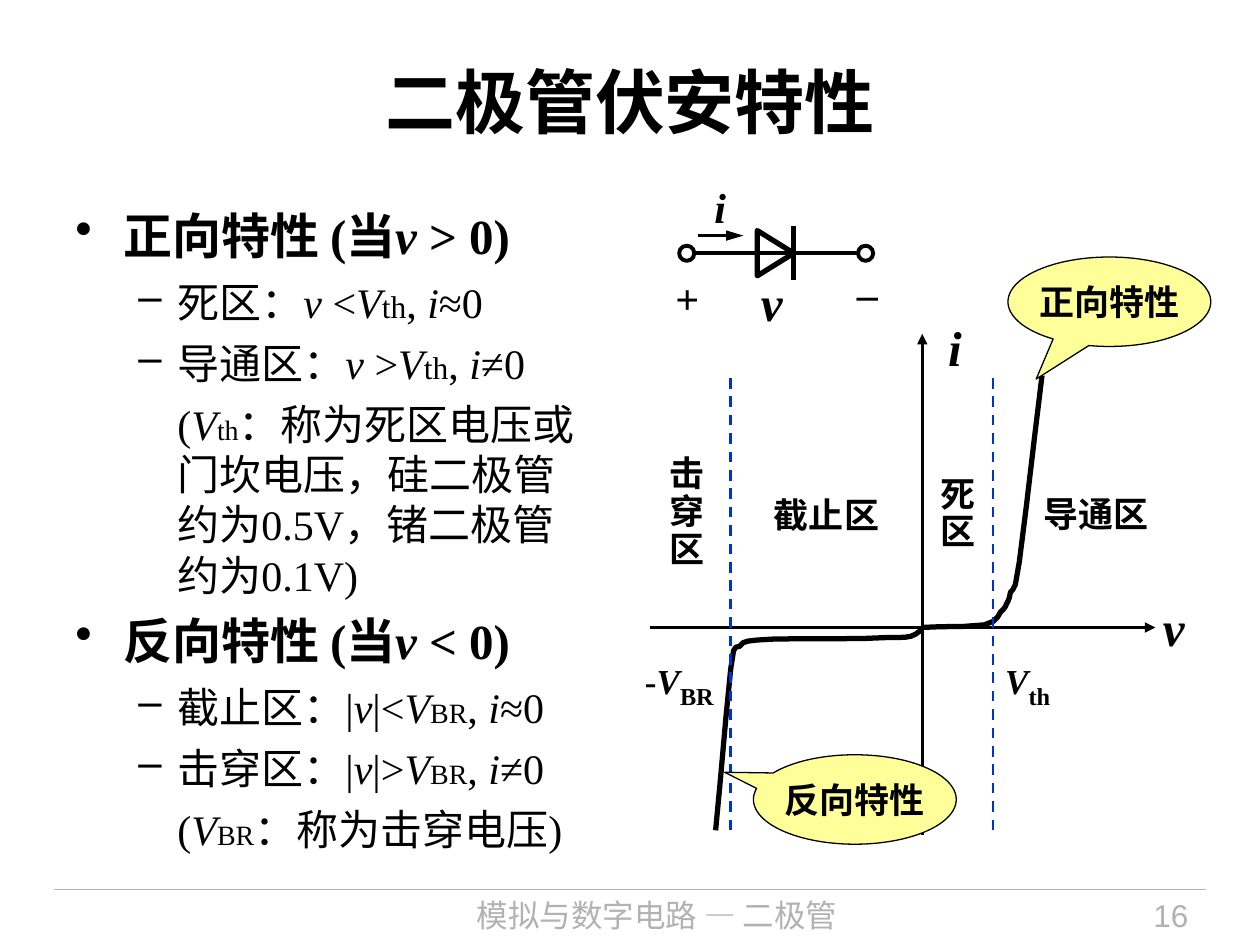
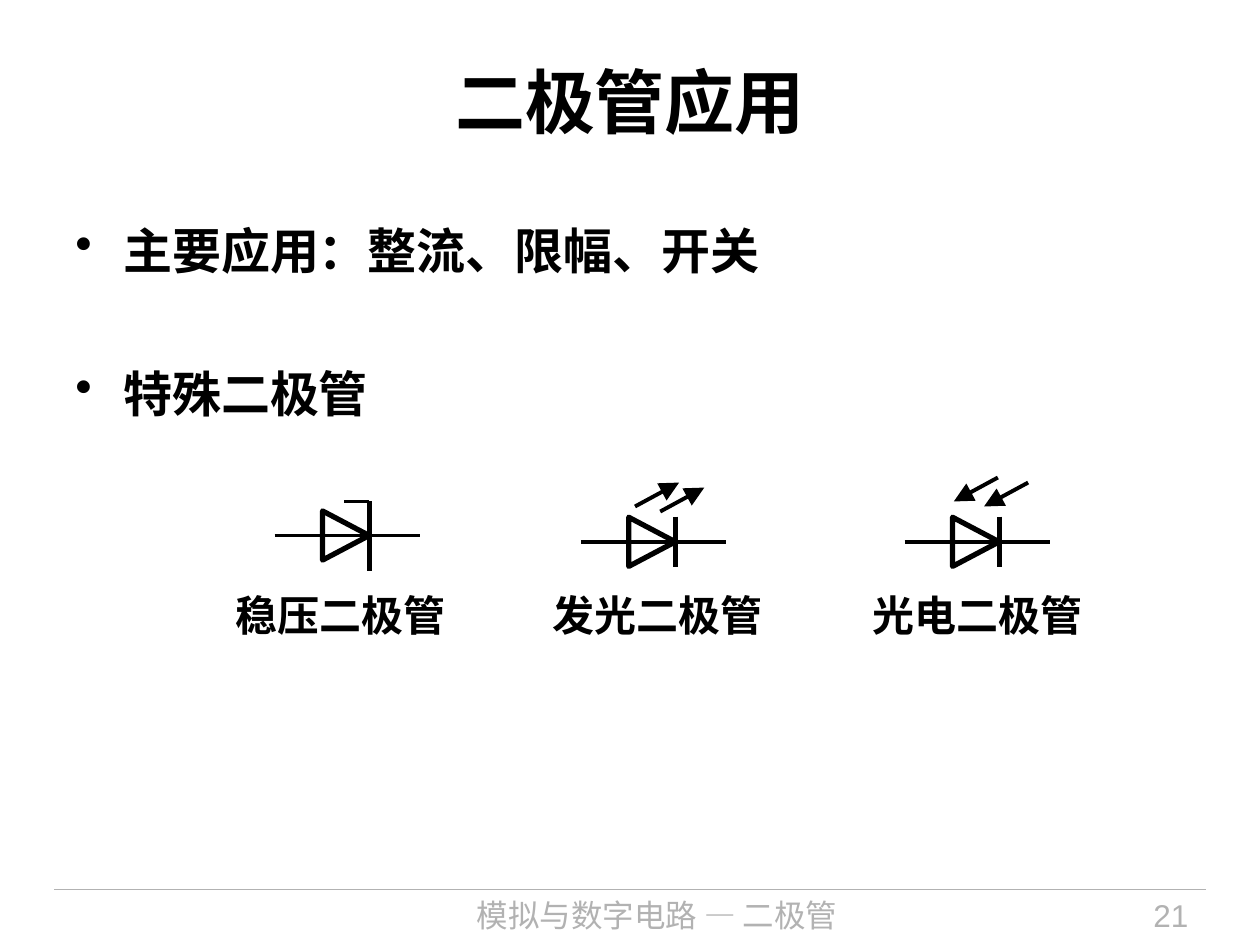
from lxml.etree import SubElement
from pptx import Presentation
from pptx.dml.color import RGBColor
from pptx.enum.dml import MSO_LINE
from pptx.enum.shapes import MSO_CONNECTOR, MSO_SHAPE
from pptx.enum.text import MSO_ANCHOR, MSO_AUTO_SIZE, PP_ALIGN
from pptx.oxml.ns import qn
from pptx.util import Inches, Pt

BLACK, GREY, BLUE, YELLOW = "000000", "B2B2B2", "0033CC", "FFFF99"
SERIF, SANS, CJK = "Times New Roman", "Arial", "Noto Sans CJK SC"
LEFT, CENTER, RIGHT = PP_ALIGN.LEFT, PP_ALIGN.CENTER, PP_ALIGN.RIGHT
LEADING = 1.2


def rgb(color):
    return RGBColor.from_string(color)


# Text
def add_runs(p, markup, size, font=SERIF, color=BLACK, bold=True, italic=False,
             sub_size=16, sub_shift=0):
    """Write text where *x* is italic and ~x~ is an index."""
    for i, part in enumerate(markup.split("*")):
        for j, text in enumerate(part.split("~")):
            if not text:
                continue
            r = p.add_run()
            r.text = text
            r.font.size = Pt(sub_size if j % 2 else size)
            r.font.bold = bold
            r.font.italic = italic or i % 2 == 1
            r.font.color.rgb = rgb(color)
            r.font.name = font
            rPr = r.font._element
            SubElement(rPr, qn("a:ea")).set("typeface", CJK)
            if j % 2 and sub_shift:
                rPr.set("baseline", str(sub_shift * 1000))


def add_label(s, x, y, w, h, text, size, align=CENTER, anchor=MSO_ANCHOR.MIDDLE,
              wrap=False, margin=True, leading=LEADING, **style):
    tb = s.shapes.add_textbox(Inches(x), Inches(y), Inches(w), Inches(h))
    tf = tb.text_frame
    tf.word_wrap = wrap
    tf.vertical_anchor = anchor
    if not margin:
        tf.margin_left = tf.margin_right = tf.margin_top = tf.margin_bottom = 0
    p = tf.paragraphs[0]
    p.alignment = align
    p.line_spacing = Pt(round(size * leading, 1))
    add_runs(p, text, size, **style)


def add_body(s, x, y, w, h, items):
    """Items are (level, bullet, text, space after, index size)."""
    tb = s.shapes.add_textbox(Inches(x), Inches(y), Inches(w), Inches(h))
    tf = tb.text_frame
    tf.word_wrap = True
    for i, (level, bullet, text, after, sub_size) in enumerate(items):
        p = tf.add_paragraph() if i else tf.paragraphs[0]
        margin, hang, size = [(0.38, 0.38, 28), (0.81, 0.31, 24)][level]
        pPr = p._p.get_or_add_pPr()
        pPr.set("marL", str(Inches(margin)))
        pPr.set("indent", str(-Inches(hang) if bullet else 0))
        if bullet:
            SubElement(pPr, qn("a:buChar")).set("char", bullet)
        p.level = level
        p.line_spacing = Pt(round(size * LEADING, 1))
        p.space_after = Pt(after)
        add_runs(p, text, size, bold=level == 0, sub_size=sub_size)


# Lines and shapes
def add_line(s, x1, y1, x2, y2, width, color=BLACK, arrow=None, dash=False):
    """An arrow is given as its head's (width, length)."""
    c = s.shapes.add_connector(MSO_CONNECTOR.STRAIGHT, Inches(x1), Inches(y1),
                               Inches(x2), Inches(y2))
    c.line.width = Pt(width)
    c.line.color.rgb = rgb(color)
    if dash:
        c.line.dash_style = MSO_LINE.DASH
    if arrow:
        head = SubElement(c.line._get_or_add_ln(), qn("a:tailEnd"))
        head.set("type", "triangle")
        head.set("w", arrow[0])
        head.set("len", arrow[1])
    SubElement(c._element.spPr, qn("a:effectLst"))


def style_shape(sp, width, fill=None):
    sp.shadow.inherit = False
    sp.line.width = Pt(width)
    sp.line.color.rgb = rgb(BLACK)
    if fill:
        sp.fill.solid()
        sp.fill.fore_color.rgb = rgb(fill)
    else:
        sp.fill.background()


def add_preset(s, kind, x, y, w, h, width, fill=None):
    sp = s.shapes.add_shape(kind, Inches(x), Inches(y), Inches(w), Inches(h))
    style_shape(sp, width, fill)
    return sp


def add_callout(s, x, y, text, pointer):
    sp = add_preset(s, MSO_SHAPE.OVAL_CALLOUT, x, y, 1.61, 0.71, 0.75, YELLOW)
    sp.adjustments[0], sp.adjustments[1] = pointer
    tf = sp.text_frame
    tf.word_wrap = False
    tf.vertical_anchor = MSO_ANCHOR.MIDDLE
    tf.margin_left = tf.margin_right = tf.margin_top = tf.margin_bottom = 0
    p = tf.paragraphs[0]
    p.alignment = CENTER
    p.line_spacing = Pt(20 * LEADING)
    add_runs(p, text, 20, SANS)


def bezier(p0, p1, p2, p3, steps=3):
    for k in range(1, steps + 1):
        t = k / steps
        u = 1 - t
        yield tuple(Inches(u**3 * a + 3 * u * u * t * b + 3 * u * t * t * c + t**3 * d)
                    for a, b, c, d in zip(p0, p1, p2, p3))


def add_curve(s, start, segments):
    points, last = [], start
    for c1, c2, end in segments:
        points += bezier(last, c1, c2, end)
        last = end
    fb = s.shapes.build_freeform(Inches(start[0]), Inches(start[1]))
    fb.add_line_segments(points, close=False)
    style_shape(fb.convert_to_shape(), 3)


def add_diode(s, bar_x, y, w=0.37, h=0.39, before=0.75, after=0.4,
              above=0.2, below=0.2):
    tri = add_preset(s, MSO_SHAPE.ISOSCELES_TRIANGLE, bar_x - w / 2 - h / 2,
                     y - w / 2, h, w, 3)
    tri.rotation = 90
    add_line(s, bar_x - before, y, bar_x + after, y, 2.25)
    add_line(s, bar_x, y - above, bar_x, y + below, 3)


# Shared frame: title and footer
def add_slide(prs, title, number):
    s = prs.slides.add_slide(prs.slide_layouts[5])
    sp = s.shapes.title
    sp.left, sp.top, sp.width, sp.height = map(Inches, (0.5, 0.17, 9, 1.25))
    tf = sp.text_frame
    tf.auto_size = MSO_AUTO_SIZE.NONE
    tf.vertical_anchor = MSO_ANCHOR.MIDDLE
    tf.paragraphs[0].alignment = CENTER
    add_runs(tf.paragraphs[0], title, 40)
    add_line(s, 0.43, 7.06, 9.57, 7.06, 0.75, GREY)
    footer = dict(size=18, anchor=MSO_ANCHOR.TOP, wrap=True, color=GREY, bold=False)
    add_label(s, 2.4, 7.06, 5.63, 0.44, "模拟与数字电路 — 二极管", font=CJK, **footer)
    add_label(s, 8.2, 7.06, 1.33, 0.44, number, align=RIGHT, font=SANS, **footer)
    return s


def add_vi_chart(s):
    # Forward and reverse branches
    add_curve(s, (7.32, 4.98), [
        ((7.4, 4.97), (7.7, 4.98), (7.81, 4.96)),
        ((7.91, 4.94), (7.92, 4.89), (7.94, 4.86)),
        ((7.97, 4.83), (7.98, 4.82), (7.99, 4.79)),
        ((8, 4.77), (8.01, 4.76), (8.02, 4.7)),
        ((8.04, 4.65), (8.05, 4.75), (8.09, 4.46)),
        ((8.13, 4.18), (8.23, 3.29), (8.27, 2.98))])
    add_curve(s, (7.32, 4.99), [
        ((7.31, 5), (7.27, 5.04), (7.23, 5.05)),
        ((7.18, 5.06), (7.18, 5.06), (7.05, 5.06)),
        ((6.92, 5.07), (6.62, 5.07), (6.45, 5.07)),
        ((6.28, 5.07), (6.11, 5.07), (6.01, 5.08)),
        ((5.91, 5.09), (5.9, 5.09), (5.87, 5.13)),
        ((5.83, 5.16), (5.83, 5.07), (5.8, 5.31)),
        ((5.77, 5.56), (5.71, 6.32), (5.68, 6.59))])
    # Axes and thresholds
    add_line(s, 7.32, 6.63, 7.32, 2.65, 2, arrow=("med", "med"))
    add_line(s, 5.16, 4.98, 9.17, 4.98, 2, arrow=("med", "med"))
    for x in (5.8, 7.88):
        add_line(s, x, 3, x, 6.62, 1.5, BLUE, dash=True)
    add_label(s, 9.13, 4.69, 0.37, 0.57, "v", 28, italic=True)
    add_label(s, 7.36, 2.47, 0.44, 0.57, "i", 28, italic=True)
    for x, w, text in ((7.88, 0.6, "*V*~th~"), (5.02, 0.85, "-*V*~BR~")):
        add_label(s, x, 5.1, w, 0.6, text, 20, LEFT, MSO_ANCHOR.TOP,
                  leading=1.75, sub_size=24, sub_shift=-25)
    # Regions
    for x, y, w, h, text in ((7.37, 3.73, 0.47, 0.7, "死区"),
                             (5.99, 3.9, 1.14, 0.4, "截止区"),
                             (8.05, 3.89, 1.3, 0.4, "导通区"),
                             (5.16, 3.57, 0.59, 1, "击穿区")):
        add_label(s, x, y, w, h, text, 20, wrap=True, leading=1.08, font=CJK)
    add_callout(s, 8, 2.04, "正向特性", (-0.361, 0.864))
    add_callout(s, 5.98, 5.99, "反向特性", (-0.642, -0.304))


def add_diode_symbol(s):
    add_diode(s, 6.3, 2.01, 0.29, 0.36, 0.79, 0.51, 0.22, 0.21)
    for x in (5.39, 6.81):
        add_preset(s, MSO_SHAPE.OVAL, x, 1.95, 0.12, 0.12, 2.25)
    add_line(s, 5.54, 1.87, 5.9, 1.87, 1.5, arrow=("med", "lg"))
    add_label(s, 5.36, 2.16, 0.19, 0.4, "+", 24, margin=False)
    add_label(s, 6.8, 2.12, 0.17, 0.4, "–", 24, margin=False)
    add_label(s, 5.94, 2.11, 0.37, 0.57, "v", 28, italic=True)
    add_label(s, 5.57, 1.39, 0.29, 0.5, "i", 24, italic=True)


def add_special_diodes(s):
    zener, led, photo = (2.93, 4.25), (5.36, 4.3), (7.93, 4.3)
    add_diode(s, *zener, above=0.27, below=0.28)
    add_line(s, 2.93, 3.98, 2.73, 3.98, 2.25)
    add_diode(s, *led)
    add_diode(s, *photo)
    # Light leaving the LED and reaching the photodiode
    light = ("lg", "lg")
    for dx, dy in ((0, 0), (0.2, 0.04)):
        add_line(s, 5.04 + dx, 4.02 + dy, 5.39 + dx, 3.83 + dy, 2.25, arrow=light)
    for dx, dy in ((0, 0), (0.24, 0.04)):
        add_line(s, 7.92 + dx, 3.79 + dy, 7.57 + dx, 3.98 + dy, 2.25, arrow=light)
    for x, text in ((1.7, "稳压二极管"), (4.22, "发光二极管"), (6.76, "光电二极管")):
        add_label(s, x, 4.63, 2, 0.5, text, 24, font=SANS)


def main():
    prs = Presentation()
    prs.slide_width, prs.slide_height = Inches(10), Inches(7.5)

    s = add_slide(prs, "二极管伏安特性", "16")
    add_vi_chart(s)
    add_diode_symbol(s)
    add_body(s, 0.5, 1.58, 4.3, 5.39, [
        (0, "•", "正向特性 (当*v *> 0)", 7, 16),
        (1, "–", "死区：*v *<*V*~th~, *i*≈0", 6, 18),
        (1, "–", "导通区：*v *>*V*~th~, *i*≠0", 6, 18),
        (1, None, "(*V*~th~：称为死区电压或门坎电压，硅二极管约为0.5V，锗二极管约为0.1V)", 6, 16),
        (0, "•", "反向特性 (当*v *< 0)", 7, 16),
        (1, "–", "截止区：|*v*|<*V*~BR~, *i*≈0", 6, 16),
        (1, "–", "击穿区：|*v*|>*V*~BR~, *i*≠0", 6, 16),
        (1, None, "(*V*~BR~：称为击穿电压)", 6, 16)])

    s = add_slide(prs, "二极管应用", "21")
    add_body(s, 0.5, 1.7, 9, 2.2, [
        (0, "•", "主要应用：整流、限幅、开关", 48, 16),
        (0, "•", "特殊二极管", 7, 16)])
    add_special_diodes(s)
    prs.save("out.pptx")


if __name__ == "__main__":
    main()
